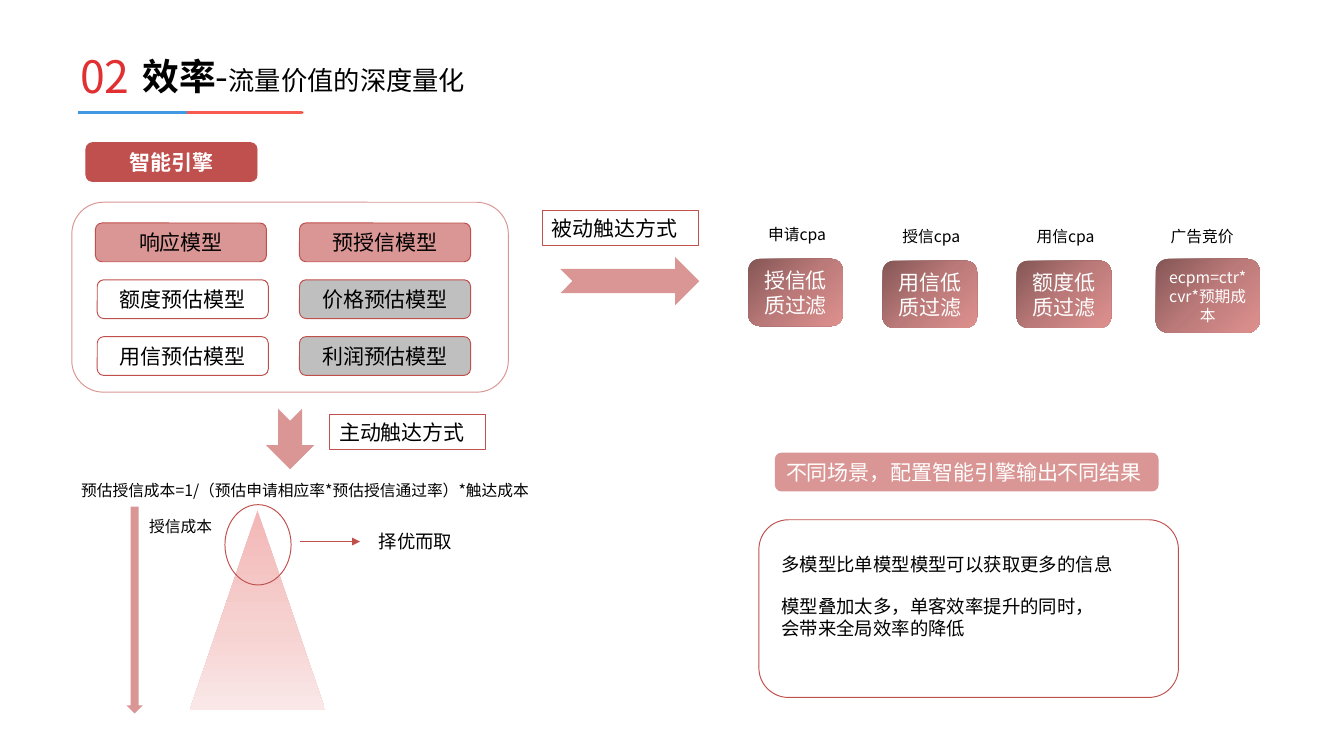
from lxml import etree
from pptx import Presentation
from pptx.dml.color import RGBColor
from pptx.enum.shapes import MSO_CONNECTOR as LINE, MSO_SHAPE as SHAPE
from pptx.enum.text import MSO_ANCHOR as ANCHOR, PP_ALIGN as ALIGN
from pptx.oxml.ns import qn
from pptx.util import Pt

FONT = "Noto Sans CJK SC"
COLORS = {
    "black": "000000", "white": "FFFFFF", "red": "E03031",
    "rule_blue": "4198E3", "rule_red": "F75B50",
    "brick": "C0504D", "rose": "D99694", "gray": "BFBFBF",
}
FILTER_GRADIENT = (45, [(0, "845655"), (50, "BB7A79"), (100, "DE918F")])
FUNNEL_GRADIENT = (90, [(0, "F2B7B6"), (60, "F6D2D1"), (100, "FAE8E8")])


def rgb(name):
    return RGBColor.from_string(COLORS[name])


def style_run(run, size, color="black", bold=False):
    run.font.size = Pt(size)
    run.font.bold = bold
    run.font.color.rgb = rgb(color)
    run.font.name = FONT
    etree.SubElement(run.font._element, qn("a:ea"), typeface=FONT)


def write(shape, lines, size, color="black", bold=False,
          align=ALIGN.LEFT, anchor=ANCHOR.TOP):
    frame = shape.text_frame
    frame.word_wrap = True
    frame.vertical_anchor = anchor
    frame.text = lines
    for para in frame.paragraphs:
        para.alignment = align
        for run in para.runs:
            style_run(run, size, color, bold)


def add_text(page, left, top, width, height, lines, size, **style):
    box = page.shapes.add_textbox(Pt(left), Pt(top), Pt(width), Pt(height))
    write(box, lines, size, **style)
    return box


def fill_gradient(shape, gradient):
    angle, stops = gradient
    fill = etree.Element(qn("a:gradFill"), rotWithShape="1")
    stop_list = etree.SubElement(fill, qn("a:gsLst"))
    for position, color in stops:
        stop = etree.SubElement(stop_list, qn("a:gs"), pos=str(position * 1000))
        etree.SubElement(stop, qn("a:srgbClr"), val=color)
    etree.SubElement(fill, qn("a:lin"), ang=str(angle * 60000), scaled="0")
    shape._element.spPr.find(qn("a:prstGeom")).addnext(fill)


def add_shape(page, kind, left, top, width, height,
              fill=None, line=None, gradient=None):
    shape = page.shapes.add_shape(kind, Pt(left), Pt(top), Pt(width), Pt(height))
    shape.shadow.inherit = False
    if gradient:
        fill_gradient(shape, gradient)
    elif fill:
        shape.fill.solid()
        shape.fill.fore_color.rgb = rgb(fill)
    else:
        shape.fill.background()
    if line:
        shape.line.color.rgb = rgb(line)
        shape.line.width = Pt(0.75)
    else:
        shape.line.fill.background()
    return shape


def add_line(page, left, right, y, color, width, arrow=False):
    line = page.shapes.add_connector(LINE.STRAIGHT, Pt(left), Pt(y), Pt(right), Pt(y))
    line.line.color.rgb = rgb(color)
    line.line.width = Pt(width)
    if arrow:
        etree.SubElement(line.line._get_or_add_ln(), qn("a:tailEnd"), type="triangle")
    etree.SubElement(line._element.spPr, qn("a:effectLst"))


def add_button(page, left, top, width, height, label, size=16, color="black",
               bold=False, **look):
    button = add_shape(page, SHAPE.ROUNDED_RECTANGLE, left, top, width, height, **look)
    write(button, label, size, color, bold, ALIGN.CENTER, ANCHOR.MIDDLE)


def add_channel_label(page, left, top, label):
    box = add_shape(page, SHAPE.RECTANGLE, left, top, 118.8, 26.6, line="brick")
    write(box, label, 16)


def build_header(page, left, top):
    add_shape(page, SHAPE.RECTANGLE, left + 7.2, top + 59, 170, 1.4, fill="red")
    add_line(page, left + 5.8, left + 93.6, top + 59.7, "rule_blue", 2.5)
    add_line(page, left + 88.6, left + 176.4, top + 59.7, "rule_red", 2.5)
    add_text(page, left, top, 83.5, 63.4, "02", 34, color="red", anchor=ANCHOR.MIDDLE)
    title = add_text(page, left + 47.5, top, 768, 63.4, "效率", 28,
                     bold=True, anchor=ANCHOR.MIDDLE)
    para = title.text_frame.paragraphs[0]
    for words, size in (("-", 28), ("流量价值的深度量化", 20)):
        run = para.add_run()
        run.text = words
        style_run(run, size)


def build_engine(page, left, top, width, height):
    add_button(page, left + 10.8, top - 45.4, 130.3, 29.5, "智能引擎",
               color="white", bold=True, fill="brick", line="brick")
    add_shape(page, SHAPE.ROUNDED_RECTANGLE, left, top, width, height, line="rose")
    models = [
        (("响应模型", "rose"), ("预授信模型", "rose")),
        (("额度预估模型", None), ("价格预估模型", "gray")),
        (("用信预估模型", None), ("利润预估模型", "gray")),
    ]
    for row, pair in enumerate(models):
        columns = (18 if row == 0 else 19.4, 173.5)
        for offset, (label, fill) in zip(columns, pair):
            add_button(page, left + offset, top + 15.8 + 43.3 * row, 130.3, 29.5,
                       label, fill=fill, line="brick")


def build_active_channel(page, left, top):
    arrow = add_shape(page, SHAPE.NOTCHED_RIGHT_ARROW, left + 143.3, top,
                      46.1, 36.7, fill="rose")
    arrow.rotation = 90
    add_channel_label(page, left + 196.6, top, "主动触达方式")
    add_text(page, left, top + 46.8, 362.2, 21.6,
             "预估授信成本=1/（预估申请相应率*预估授信通过率）*触达成本", 12)
    add_shape(page, SHAPE.ISOSCELES_TRIANGLE, left + 90, top + 72.7, 103, 151.9,
              gradient=FUNNEL_GRADIENT)
    add_shape(page, SHAPE.DOWN_ARROW, left + 41.8, top + 69.8, 12.2, 157.7, fill="rose")
    add_text(page, left + 51.9, top + 74.1, 63.4, 21.6, "授信成本", 12)
    add_shape(page, SHAPE.OVAL, left + 116.7, top + 68.4, 50.4, 61.2, line="brick")
    add_line(page, left + 173.5, left + 219.6, top + 96.5, "brick", 0.75, arrow=True)
    add_text(page, left + 226.8, top + 84.2, 71.3, 24.5, "择优而取", 14)


def build_passive_channel(page, left, top):
    add_channel_label(page, left, top, "被动触达方式")
    add_shape(page, SHAPE.NOTCHED_RIGHT_ARROW, left + 13.7, top + 35.2,
              105.8, 36.7, fill="rose")
    filters = [("申请cpa", "授信低质过滤"), ("授信cpa", "用信低质过滤"),
               ("用信cpa", "额度低质过滤")]
    pitch = 102.24
    for index, (caption, label) in enumerate(filters):
        x = left + pitch * index
        y = top + (1.4 if index else 0)
        add_text(page, x + 164.9, y + 7.2, 64.8, 21.6, caption, 12)
        add_button(page, x + 156.9, y + 36.7, 72, 51.1, label,
                   color="white", gradient=FILTER_GRADIENT)
    add_text(page, left + 164.9 + pitch * 3, top + 8.6, 64.8, 21.6, "广告竞价", 12)
    add_button(page, left + 467.3, top + 36.7, 79.2, 56.2, "ecpm=ctr*cvr*预期成本",
               size=12, color="white", gradient=FILTER_GRADIENT)


def build_findings(page, left, top, width, height):
    banner = add_shape(page, SHAPE.ROUNDED_RECTANGLE, left + 12.2, top - 51.1,
                       292.3, 29.5, fill="rose")
    write(banner, "不同场景，配置智能引擎输出不同结果", 16, "white", anchor=ANCHOR.MIDDLE)
    add_shape(page, SHAPE.ROUNDED_RECTANGLE, left, top, width, height, line="brick")
    add_text(page, left + 10, top + 21.6, 269.3, 24.5,
             "多模型比单模型模型可以获取更多的信息", 14)
    add_text(page, left + 10, top + 54, 254.9, 41,
             "模型叠加太多，单客效率提升的同时，\n会带来全局效率的降低", 14)


def main():
    deck = Presentation()
    deck.slide_width, deck.slide_height = Pt(1024), Pt(576)
    page = deck.slides.add_slide(deck.slide_layouts[6])
    build_header(page, 54, 26)
    build_engine(page, 54.7, 154.1, 332.6, 144.7)
    build_active_channel(page, 54.7, 316.1)
    build_passive_channel(page, 413.3, 160.6)
    build_findings(page, 578.2, 396, 319.7, 135.4)
    deck.save("out.pptx")


if __name__ == "__main__":
    main()
